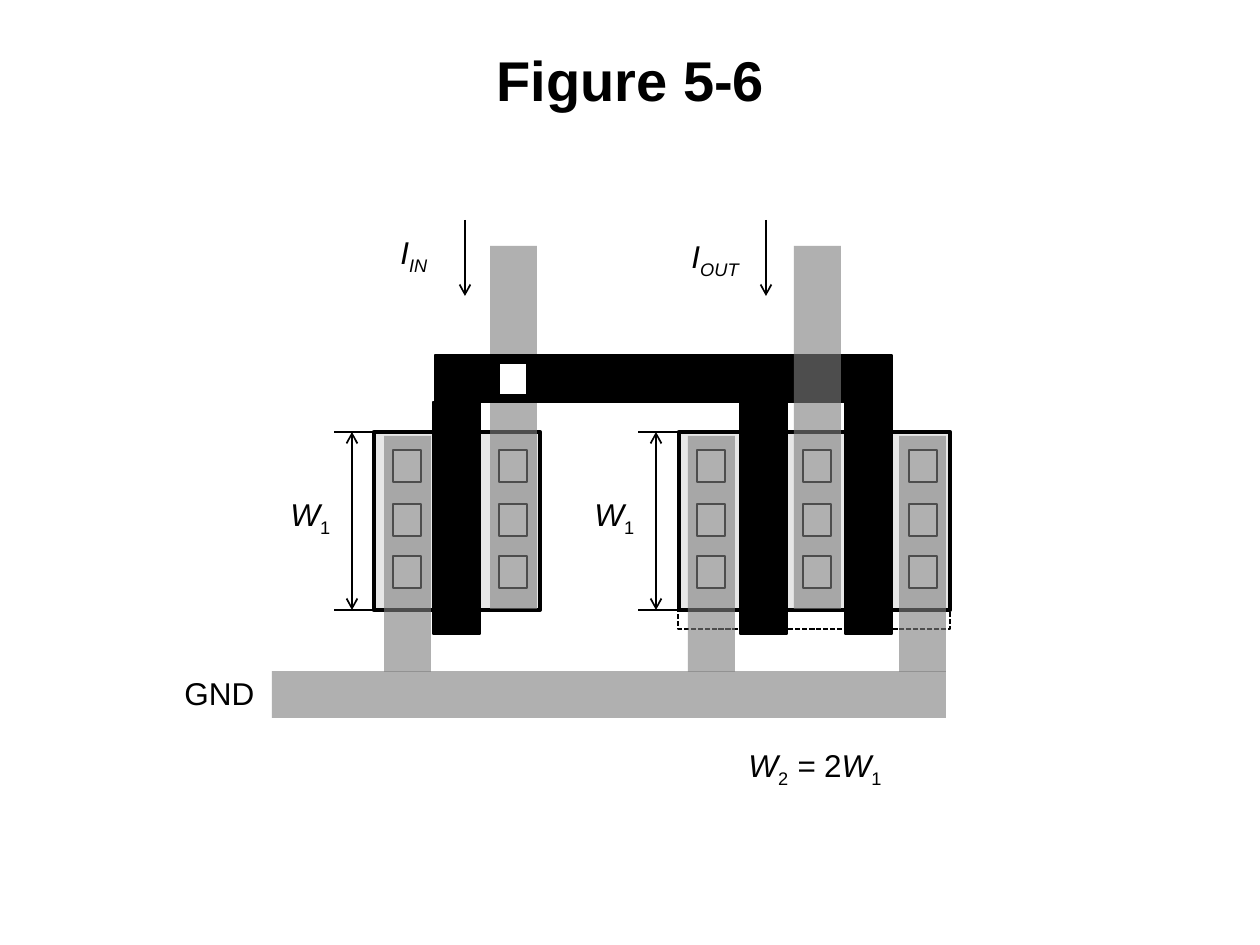
import pptx
import pptx.dml.color
import pptx.enum.dml
import pptx.enum.shapes
import pptx.enum.text
import pptx.oxml.ns
import pptx.util
import lxml.etree

BLACK, METAL, DIFFUSION, WHITE = "000000", "7F7F7F", "E7E7E7", "FFFFFF"
STRIP = 47  # width of every metal and gate strip
TOP, BOTTOM = 432, 610  # edges of the diffusion areas


def px(length):
    return pptx.util.Emu(round(length * 914400 / 126))


def color(hex_text):
    return pptx.dml.color.RGBColor.from_string(hex_text)


def add_element(parent, tag, **attributes):
    return lxml.etree.SubElement(parent, pptx.oxml.ns.qn(tag), attributes)


class Figure:
    font_name = "Arial"
    text_size = 18

    def __init__(self, page):
        self.page = page

    def style(self, span, size, bold=False, italic=False):
        span.font.name = self.font_name
        span.font.size = pptx.util.Pt(size)
        span.font.bold = bold
        span.font.italic = italic
        span.font.color.rgb = color(BLACK)

    def title(self, text, left, top, width, height):
        box = self.page.shapes.title
        box.left, box.top, box.width, box.height = map(px, (left, top, width, height))
        box.text_frame.vertical_anchor = pptx.enum.text.MSO_ANCHOR.MIDDLE
        para = box.text_frame.paragraphs[0]
        para.alignment = pptx.enum.text.PP_ALIGN.CENTER
        span = para.add_run()
        span.text = text
        self.style(span, 32, bold=True)

    def label(self, parts, left, top, width, height, wrap=False):
        """Parts are (text, marks) pairs; mark i is italic, mark s is subscript."""
        box = self.page.shapes.add_textbox(*map(px, (left, top, width, height)))
        box.text_frame.word_wrap = wrap
        box.text_frame.auto_size = pptx.enum.text.MSO_AUTO_SIZE.SHAPE_TO_FIT_TEXT
        para = box.text_frame.paragraphs[0]
        for text, marks in parts:
            span = para.add_run()
            span.text = text
            self.style(span, self.text_size, italic="i" in marks)
            if "s" in marks:
                span._r.get_or_add_rPr().set("baseline", "-25000")

    def rectangle(self, left, top, width, height, fill=None, line=None, dash=None):
        """Line is a width in points; without fill or line that part is clear."""
        box = self.page.shapes.add_shape(
            pptx.enum.shapes.MSO_SHAPE.RECTANGLE, *map(px, (left, top, width, height)))
        box.shadow.inherit = False
        if fill:
            box.fill.solid()
            box.fill.fore_color.rgb = color(fill)
        else:
            box.fill.background()
        if line:
            box.line.color.rgb = color(BLACK)
            box.line.width = pptx.util.Pt(line)
            if dash:
                box.line.dash_style = dash
        else:
            box.line.fill.background()
        return box

    def metal(self, left, top, width, height):
        """Add a translucent metal strip."""
        box = self.rectangle(left, top, width, height, METAL)
        fill_color = box._element.spPr.find(".//" + pptx.oxml.ns.qn("a:srgbClr"))
        add_element(fill_color, "a:alpha", val="61000")

    def contact(self, left, top):
        self.rectangle(left, top, 28, 32, WHITE, 1)

    def line(self, x1, y1, x2, y2, arrows=()):
        """Arrows may hold a:headEnd (start) and a:tailEnd (finish), in that order."""
        connector = self.page.shapes.add_connector(
            pptx.enum.shapes.MSO_CONNECTOR.STRAIGHT, *map(px, (x1, y1, x2, y2)))
        connector.line.color.rgb = color(BLACK)
        connector.line.width = pptx.util.Pt(1)
        for end in arrows:
            add_element(connector.line._get_or_add_ln(), end, type="arrow")
        add_element(connector._element.spPr, "a:effectLst")

    def width_mark(self, edge):
        """Dimension the channel width to the left of a diffusion edge."""
        for y in (TOP, BOTTOM):
            self.line(edge, y, edge - 40, y)
        self.line(edge - 22, TOP, edge - 22, BOTTOM, ("a:headEnd", "a:tailEnd"))
        self.label([("W", "i"), ("1", "s")], edge - 96, 489, 70, 55)


def main():
    deck = pptx.Presentation()
    deck.slide_width, deck.slide_height = px(1260), px(945)
    figure = Figure(deck.slides.add_slide(deck.slide_layouts[5]))
    figure.title("Figure 5-6", 95, 21, 1071, 117)

    # Diffusion areas, gates and contacts
    figure.rectangle(678, TOP, 272, 197, line=1,
                     dash=pptx.enum.dml.MSO_LINE.SQUARE_DOT)
    for left, width in ((374, 66), (476, 64), (679, 66), (780, 82), (886, 64)):
        figure.rectangle(left, TOP, width, BOTTOM - TOP, DIFFUSION, 2.5)
    for left in (433, 740, 845):
        figure.rectangle(left, 402, STRIP, 232, BLACK, 1)
    for left in (393, 499, 697, 803, 909):
        for top in (450, 504, 556):
            figure.contact(left, top)

    # Metal and the shared gate strip; the output drain crosses over it
    for left in (384, 688, 899):
        figure.metal(left, 436, STRIP, 236)
    figure.metal(272, 671, 674, STRIP)
    figure.metal(490, 246, STRIP, 363)
    figure.rectangle(435, 355, 457, STRIP, BLACK, 1)
    figure.contact(499, 363)
    figure.metal(794, 246, STRIP, 363)

    # Dimensions, currents and labels
    for edge in (374, 678):
        figure.width_mark(edge)
    for x in (465, 766):
        figure.line(x, 220, x, 296, ("a:tailEnd",))
    figure.label([("I", "i"), ("IN", "is")], 388, 227, 74, 55, wrap=True)
    figure.label([("I", "i"), ("OUT", "is")], 679, 231, 84, 55, wrap=True)
    figure.label([("GND", "")], 172, 668, 115, 50, wrap=True)
    figure.label([("W", "i"), ("2", "s"), (" = ", "i"), ("2", ""), ("W", "i"), ("1", "s")],
                 736, 740, 158, 55)
    deck.save("out.pptx")


if __name__ == "__main__":
    main()
